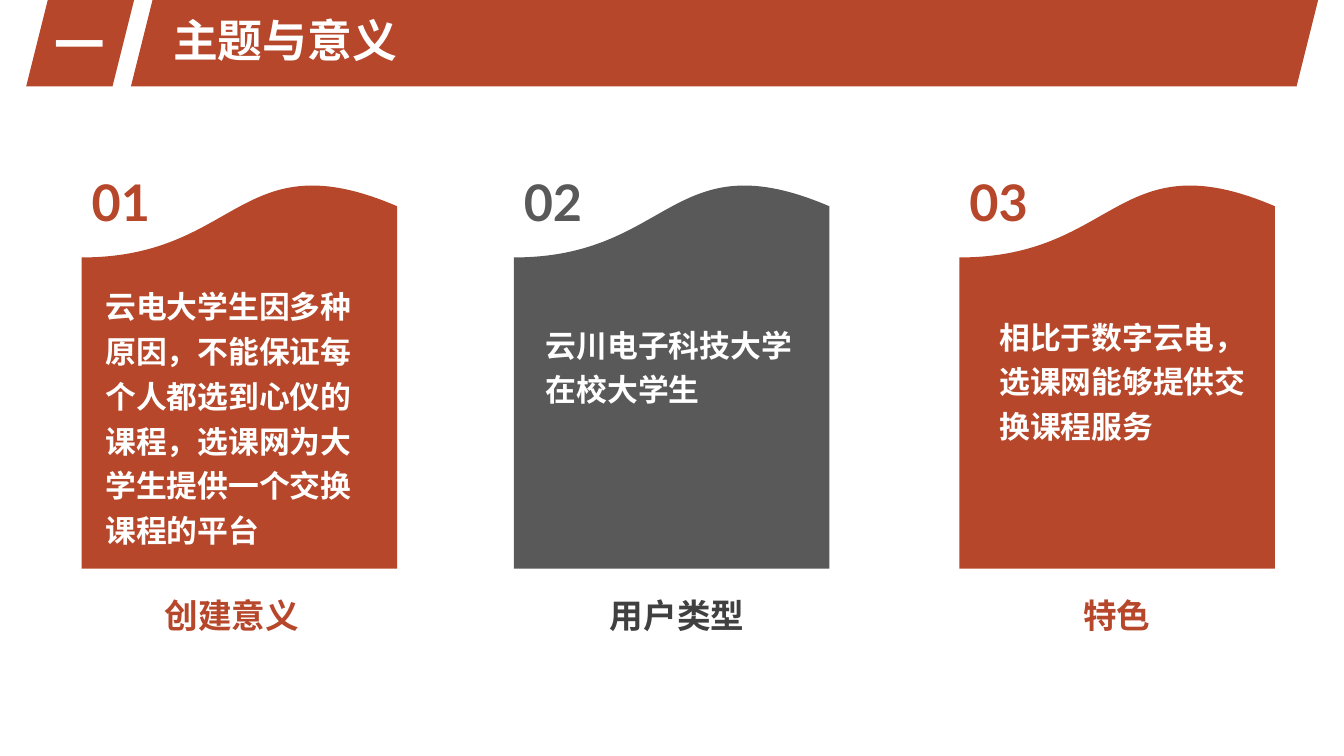
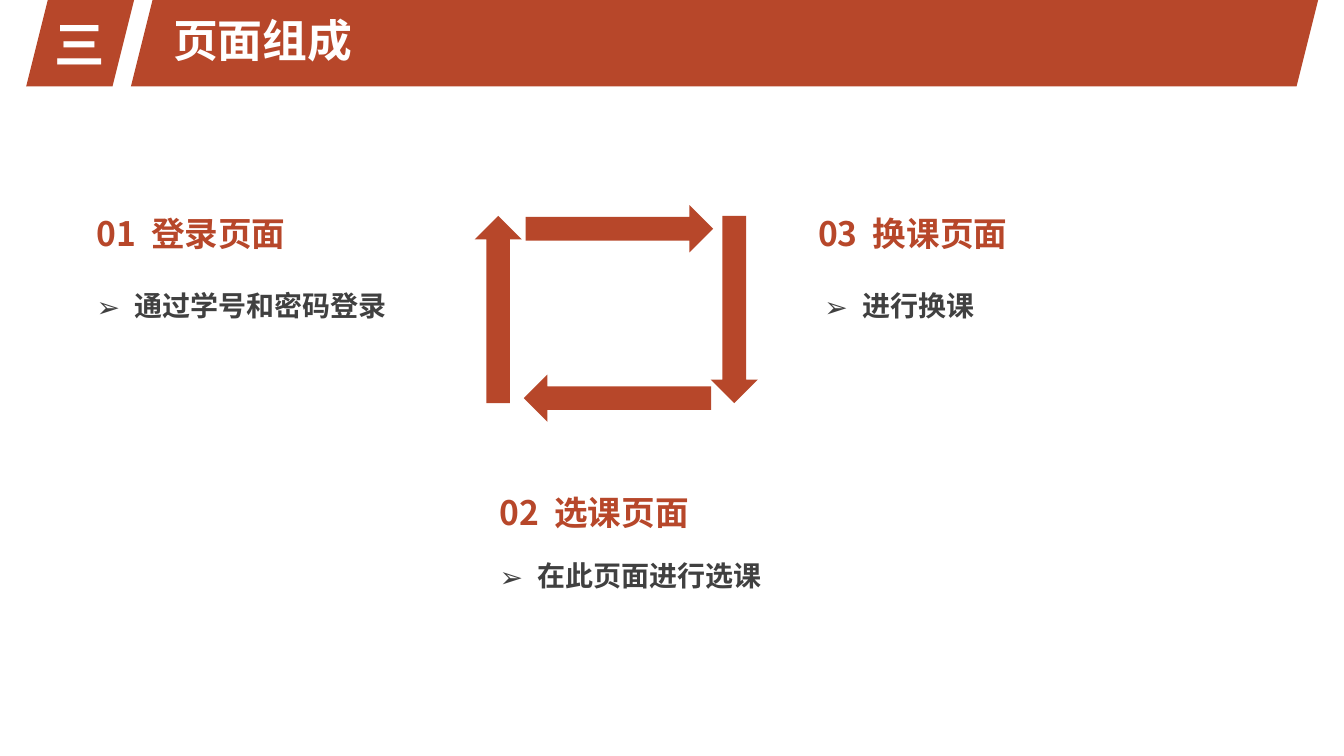
from lxml import etree
from pptx import Presentation
from pptx import util as u
from pptx.dml.color import RGBColor
from pptx.enum import shapes, text
from pptx.oxml.ns import qn

RUST, GREY, INK, WHITE = "B7472A", "595959", "404040", "FFFFFF"
CJK, LATIN = "Noto Sans CJK SC", "Lato"
PRESET = shapes.MSO_SHAPE
CENTER, MIDDLE = text.PP_ALIGN.CENTER, text.MSO_ANCHOR.MIDDLE

BAND = (3.3, 0, 29.92, 2.18)
BADGE = (0.66, 0, 2.72, 2.18)
TITLE = (4.11, 0.2, 10.52, 1.63)

CARD_TOP, CARD_WIDTH, CARD_HEIGHT = 4.55, 7.95, 9.78
LABEL_TOP, LABEL_WIDTH = 14.86, 7.67
CARDS = [
    dict(left=2.06, number="01", fill=RUST, label="创建意义", label_left=2.01, ink=RUST,
         body="云电大学生因多种原因，不能保证每个人都选到心仪的课程，选课网为大学生提供一个交换课程的平台",
         body_box=(2.41, 6.93, 6.86, 7.09)),
    dict(left=12.95, number="02", fill=GREY, label="用户类型", label_left=13.23, ink=INK,
         body="云川电子科技大学在校大学生", body_box=(13.51, 7.9, 6.86, 2.54)),
    dict(left=24.18, number="03", fill=RUST, label="特色", label_left=24.31, ink=RUST,
         body="相比于数字云电，选课网能够提供交换课程服务", body_box=(24.94, 7.7, 6.86, 3.68)),
]

PAGES = [
    ("01 登录页面", (2.18, 5.23), "通过学号和密码登录", (2.18, 6.86)),
    ("02 选课页面", (12.34, 12.27), "在此页面进行选课", (12.34, 13.67)),
    ("03 换课页面", (20.37, 5.23), "进行换课", (20.52, 6.86)),
]

ARROW_LENGTH, ARROW_THICKNESS = 4.72, 1.19
CYCLE = [
    (PRESET.UP_ARROW, 11.96, 5.44),
    (PRESET.RIGHT_ARROW, 13.25, 5.17),
    (PRESET.DOWN_ARROW, 17.91, 5.44),
    (PRESET.LEFT_ARROW, 13.2, 9.44),
]


def colour(hex_string):
    return RGBColor.from_string(hex_string)


def write(holder, words, size, ink, font=CJK, align=text.PP_ALIGN.LEFT,
          anchor=text.MSO_ANCHOR.TOP, leading=None, bullet=None):
    frame = holder.text_frame
    frame.word_wrap = True
    frame.auto_size = text.MSO_AUTO_SIZE.NONE
    frame.vertical_anchor = anchor
    paragraph = frame.paragraphs[0]
    paragraph.alignment = align
    paragraph.space_before = u.Pt(0)
    if leading:
        paragraph.line_spacing = u.Pt(leading)
    if bullet:
        properties = paragraph._p.get_or_add_pPr()
        properties.set("marL", str(u.Cm(0.95)))
        properties.set("indent", str(-u.Cm(0.95)))
        etree.SubElement(properties, qn("a:buFont"), typeface=CJK)
        etree.SubElement(properties, qn("a:buChar"), char=bullet)
    for part in filter(None, words.partition(" ")):
        run = paragraph.add_run()
        run.text = part
        run.font.size = u.Pt(size)
        run.font.bold = True
        run.font.name = font
        run.font.color.rgb = colour(ink)
        properties = run._r.get_or_add_rPr()
        etree.SubElement(properties, qn("a:ea"), typeface=font)
        if part == " ":
            properties.set("spc", "530")


def place(holder, box):
    holder.left, holder.top, holder.width, holder.height = map(u.Cm, box)


def add_block(slide, preset, box, fill=RUST):
    block = slide.shapes.add_shape(preset, *map(u.Cm, box))
    block.shadow.inherit = False
    block.fill.solid()
    block.fill.fore_color.rgb = colour(fill)
    block.line.fill.background()
    return block


def add_text(slide, box, words, size, ink, **style):
    write(slide.shapes.add_textbox(*map(u.Cm, box)), words, size, ink, **style)


def add_section(deck, layout, numeral, heading):
    slide = deck.slides.add_slide(deck.slide_layouts.get_by_name(layout))
    place(slide.shapes.title, TITLE)
    write(slide.shapes.title, heading, 32, WHITE)
    badge = add_block(slide, PRESET.PARALLELOGRAM, BADGE)
    write(badge, numeral, 36, WHITE, align=CENTER, anchor=MIDDLE)
    return slide


def add_master_band(deck, slide):
    band = add_block(slide, PRESET.PARALLELOGRAM, BAND)
    deck.slide_master.shapes.element.insert(2, band.element)


def add_card(slide, card):
    left = card["left"]
    panel = add_block(slide, PRESET.FLOWCHART_DOCUMENT,
                      (left, CARD_TOP, CARD_WIDTH, CARD_HEIGHT), card["fill"])
    panel.rotation = 180
    add_text(slide, (left, 4.19, 2.51, 1.8), card["number"], 36, card["fill"], font=LATIN)
    add_text(slide, (card["label_left"], LABEL_TOP, LABEL_WIDTH, 1.27), card["label"],
             24, card["ink"], align=CENTER)
    add_text(slide, card["body_box"], card["body"], 22, WHITE, leading=32)


def add_cycle(slide):
    for preset, left, top in CYCLE:
        size = (ARROW_LENGTH, ARROW_THICKNESS)
        if preset in (PRESET.UP_ARROW, PRESET.DOWN_ARROW):
            size = size[::-1]
        add_block(slide, preset, (left, top, *size))


def add_pages(slide):
    bodies = [holder for holder in slide.placeholders if holder.placeholder_format.idx]
    for (heading, heading_at, detail, detail_at), body in zip(PAGES, bodies):
        add_text(slide, (*heading_at, 5.8, 1.27), heading, 24, RUST)
        place(body, (*detail_at, 9.17, 1.4))
        write(body, detail, 20, INK, leading=32, bullet="➢")
    for spare in bodies[len(PAGES):]:
        spare.element.getparent().remove(spare.element)


def main():
    deck = Presentation()
    deck.slide_width, deck.slide_height = u.Cm(33.87), u.Cm(19.05)

    theme = add_section(deck, "Title Only", "一", "主题与意义")
    add_master_band(deck, theme)
    for card in CARDS:
        add_card(theme, card)

    structure = add_section(deck, "Comparison", "三", "页面组成")
    add_cycle(structure)
    add_pages(structure)

    deck.save("out.pptx")


if __name__ == "__main__":
    main()
